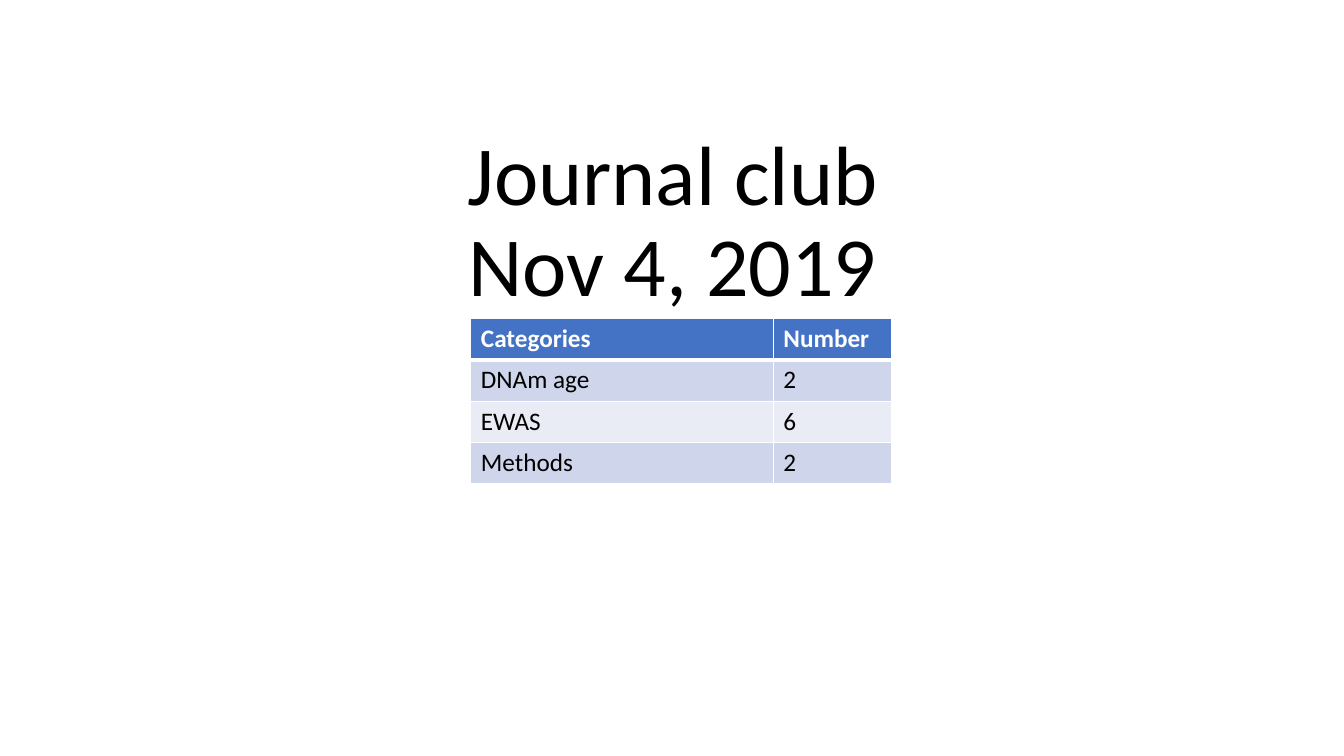
from lxml import etree
from pptx import Presentation
from pptx.dml.color import RGBColor
from pptx.enum.text import MSO_ANCHOR, MSO_AUTO_SIZE, PP_ALIGN
from pptx.oxml.ns import qn
from pptx.util import Inches, Pt

CENTER = PP_ALIGN.CENTER
BOTTOM = MSO_ANCHOR.BOTTOM
NO_AUTOFIT = MSO_AUTO_SIZE.NONE
TITLE_ONLY = 5
FONT = "Calibri"
COLORS = {
    "text": "000000",
    "white": "FFFFFF",
    "header": "4472C4",
    "odd_row": "CFD5EA",
    "even_row": "E9EBF5",
}


def add_run(paragraph, text, size, color, bold=False):
    run = paragraph.add_run()
    run.text = text
    run.font.name = FONT
    run.font.size = Pt(size)
    run.font.bold = bold
    run.font.color.rgb = RGBColor.from_string(COLORS[color])


def add_border(cell, side, width):
    properties = cell._tc.get_or_add_tcPr()
    line = etree.SubElement(properties, qn(f"a:{side}"), w=str(Pt(width)))
    fill = etree.SubElement(line, qn("a:solidFill"))
    etree.SubElement(fill, qn("a:srgbClr"), val=COLORS["white"])


presentation = Presentation()
presentation.slide_width = Inches(13.33)
presentation.slide_height = Inches(7.5)
slide = presentation.slides.add_slide(presentation.slide_layouts[TITLE_ONLY])

title = slide.shapes.title
title.left, title.top = Inches(1.67), Inches(0.56)
title.width, title.height = Inches(10), Inches(2.61)
title_frame = title.text_frame
title_frame.word_wrap = True
title_frame.auto_size = NO_AUTOFIT
title_frame.vertical_anchor = BOTTOM
paragraph = title_frame.paragraphs[0]
paragraph.alignment = CENTER
paragraph.line_spacing = 0.9
add_run(paragraph, "Journal club", 60, "text")
paragraph.add_line_break()
add_run(paragraph, "Nov 4, 2019", 60, "text")

rows = [
    ("Categories", "Number"),
    ("DNAm age", "2"),
    ("EWAS", "6"),
    ("Methods", "2"),
]
column_widths = [3, 1.17]
row_height = 0.41
table = slide.shapes.add_table(
    len(rows), len(column_widths), Inches(4.67), Inches(3.16),
    Inches(sum(column_widths)), Inches(row_height * len(rows)),
).table
for column, width in zip(table.columns, column_widths):
    column.width = Inches(width)

for row_index, values in enumerate(rows):
    table.rows[row_index].height = Inches(row_height)
    is_header = row_index == 0
    if is_header:
        fill_color = "header"
    else:
        fill_color = "odd_row" if row_index % 2 else "even_row"
    for column_index, value in enumerate(values):
        cell = table.cell(row_index, column_index)
        add_border(cell, "lnL", 1)
        add_border(cell, "lnR", 1)
        add_border(cell, "lnT", 3 if row_index == 1 else 1)
        add_border(cell, "lnB", 3 if is_header else 1)
        cell.fill.solid()
        cell.fill.fore_color.rgb = RGBColor.from_string(COLORS[fill_color])
        add_run(cell.text_frame.paragraphs[0], value, 18,
                "white" if is_header else "text", is_header)

presentation.save("out.pptx")
